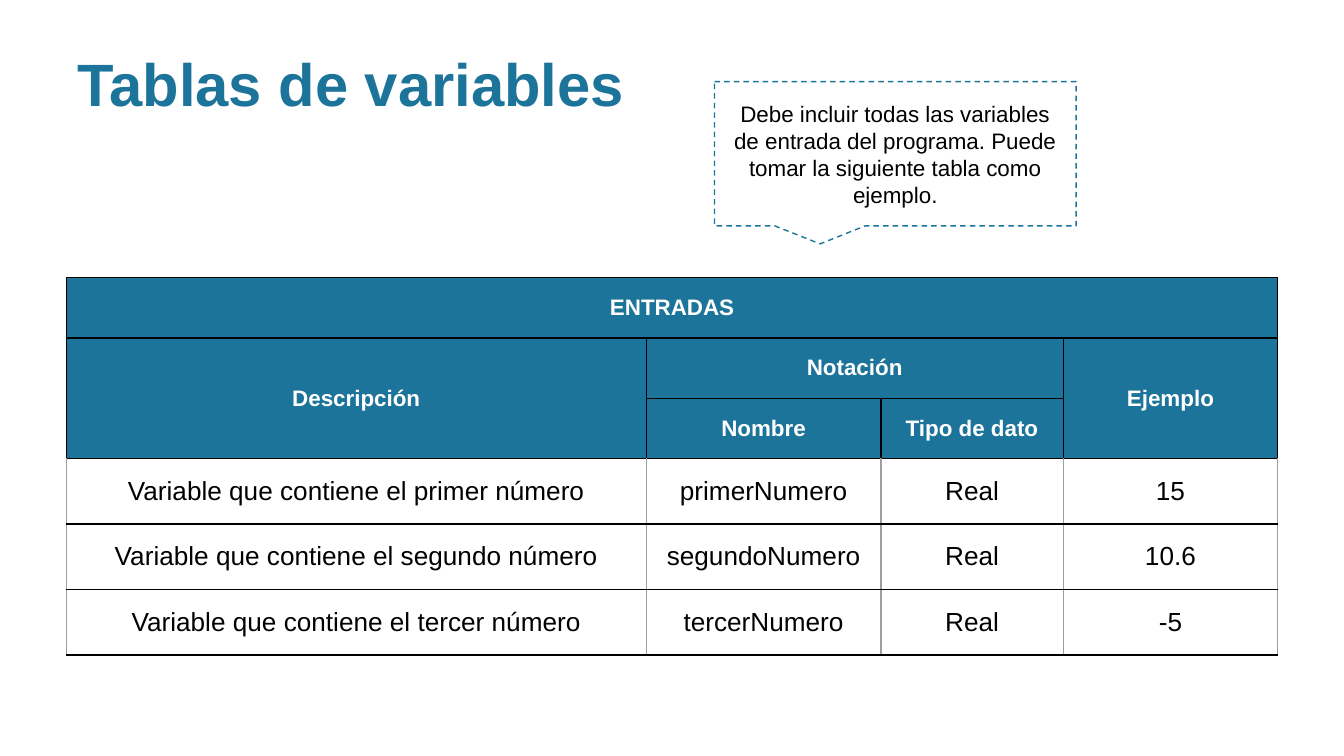
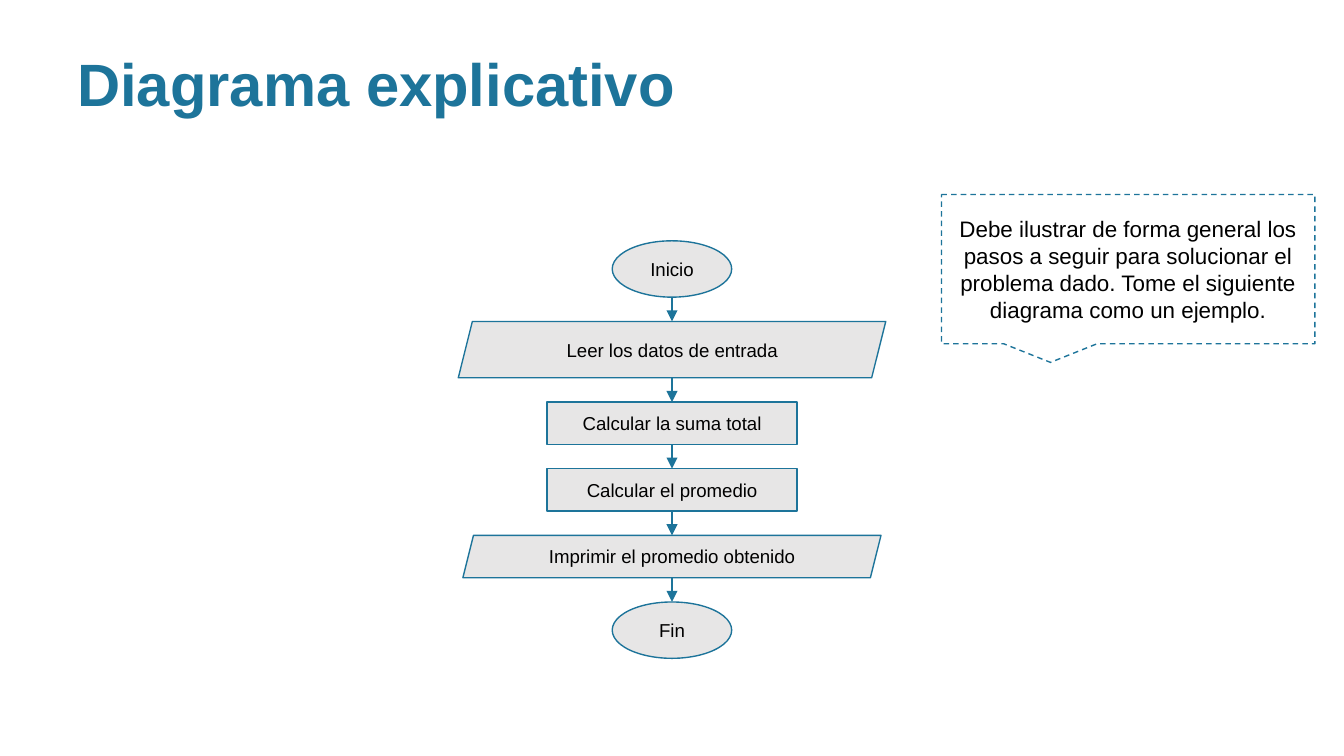
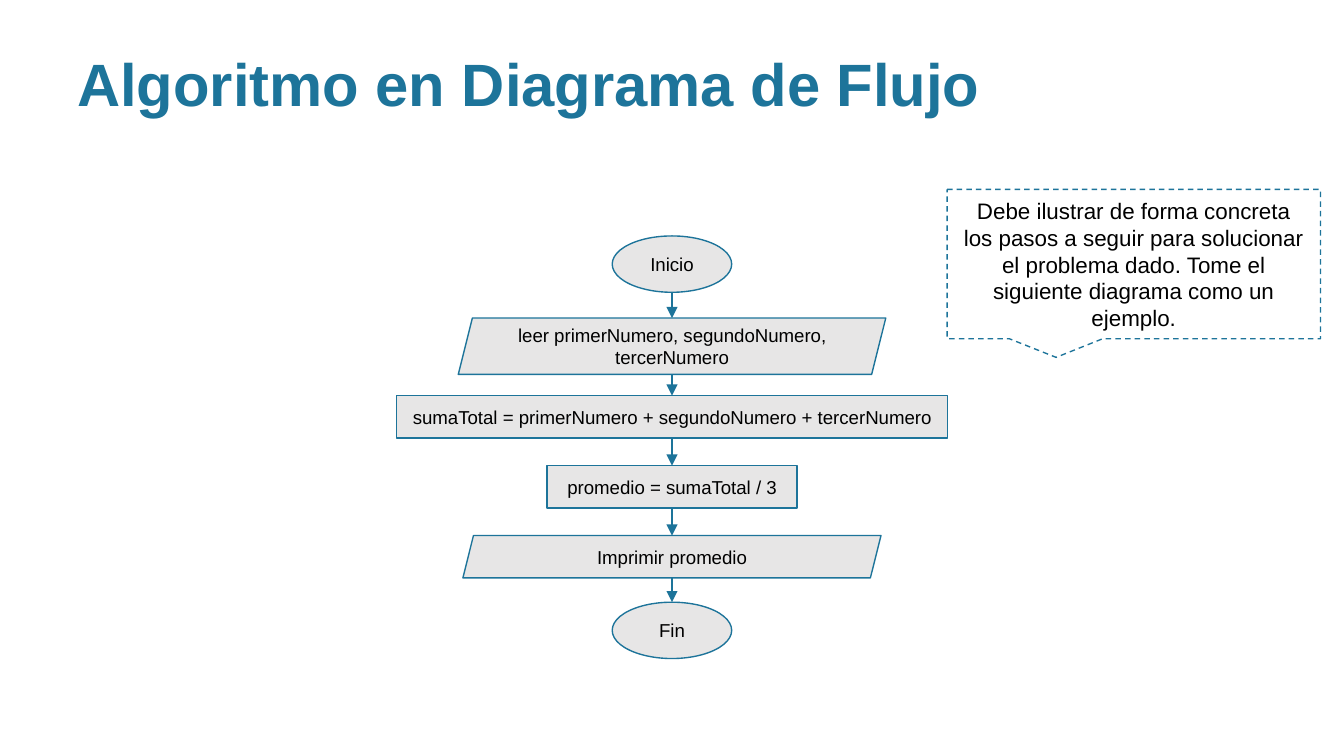
from lxml import etree
from pptx import Presentation
from pptx import util as u
from pptx.dml.color import RGBColor
from pptx.enum import dml, shapes, text
from pptx.oxml import ns

BLUE, GRAY, BORDER = "1D749A", "E7E6E6", "9E9E9E"
BLACK, WHITE = "000000", "FFFFFF"
FONT = "Arial"
INSET = 7.2
CENTER = 360
LINE = 0.75
KINDS = shapes.MSO_SHAPE


def rgb(value):
    return RGBColor.from_string(value)


def write(tf, words, size, color, bold=False, align=text.PP_ALIGN.CENTER):
    p = tf.paragraphs[0]
    p.text = words
    p.alignment = align
    p.font.name = FONT
    p.font.size = u.Pt(size)
    p.font.bold = bold
    p.font.color.rgb = rgb(color)
    return p


flow_kinds = [
    (KINDS.OVAL, 30.2),
    (KINDS.PARALLELOGRAM, 30.2),
    (KINDS.RECTANGLE, 22.7),
    (KINDS.RECTANGLE, 22.7),
    (KINDS.PARALLELOGRAM, 22.7),
    (KINDS.OVAL, 30.2),
]
general_steps = [
    ("Inicio", 64, 13),
    ("Leer los datos de entrada", 229, 13),
    ("Calcular la suma total", 134, 13),
    ("Calcular el promedio", 134, 13),
    ("Imprimir el promedio obtenido", 224, 13),
    ("Fin", 64, 0),
]
concrete_steps = [
    ("Inicio", 64, 13.8),
    ("leer primerNumero, segundoNumero, tercerNumero", 229, 11.3),
    ("sumaTotal = primerNumero + segundoNumero + tercerNumero", 295.2, 14.8),
    ("promedio = sumaTotal / 3", 134, 14.8),
    ("Imprimir promedio", 224, 13),
    ("Fin", 64, 0),
]
pages = [
    ("Tablas de variables",
     "Debe incluir todas las variables de entrada del programa. "
     "Puede tomar la siguiente tabla como ejemplo.",
     (382.8, 43.7, 193.7, 77.3), 0, []),
    ("Diagrama explicativo",
     "Debe ilustrar de forma general los pasos a seguir para solucionar "
     "el problema dado. Tome el siguiente diagrama como un ejemplo.",
     (504.4, 104.2, 200, 80), 129, general_steps),
    ("Algoritmo en Diagrama de Flujo",
     "Debe ilustrar de forma concreta los pasos a seguir para solucionar "
     "el problema dado. Tome el siguiente diagrama como un ejemplo.",
     (507.4, 101.5, 200, 80), 126.4, concrete_steps),
]

prs = Presentation()
prs.slide_width, prs.slide_height = u.Pt(720), u.Pt(405)

for title, note, note_box, top, steps in pages:
    s = prs.slides.add_slide(prs.slide_layouts[6])
    tf = s.shapes.add_textbox(u.Pt(36), u.Pt(21.6), u.Pt(533.5), u.Pt(49.7)).text_frame
    tf.word_wrap = True
    tf.vertical_anchor = text.MSO_ANCHOR.MIDDLE
    tf.margin_left = tf.margin_right = u.Pt(5.4)
    tf.margin_top = tf.margin_bottom = u.Pt(2.7)
    p = write(tf, title, 32, BLUE, True, text.PP_ALIGN.LEFT)
    p.line_spacing = 0.9

    boxes = []
    for (kind, height), (words, width, gap) in zip(flow_kinds, steps):
        boxes.append((kind, (CENTER - width / 2, top, width, height), words, 10))
        bottom = top + height
        top = bottom + gap
        if gap:
            arrow = s.shapes.add_connector(
                shapes.MSO_CONNECTOR.STRAIGHT,
                u.Pt(CENTER), u.Pt(bottom), u.Pt(CENTER), u.Pt(top))
            arrow.line.color.rgb = rgb(BLUE)
            arrow.line.width = u.Pt(LINE)
            sp_pr = arrow.element.spPr
            etree.SubElement(sp_pr.find(ns.qn("a:ln")), ns.qn("a:tailEnd"), type="triangle")
            etree.SubElement(sp_pr, ns.qn("a:effectLst"))
    boxes.append((KINDS.ROUNDED_RECTANGULAR_CALLOUT, note_box, note, 12))

    for kind, box, words, size in boxes:
        sp = s.shapes.add_shape(kind, *[u.Pt(n) for n in box])
        sp.shadow.inherit = False
        sp.line.color.rgb = rgb(BLUE)
        sp.line.width = u.Pt(LINE)
        if kind == KINDS.ROUNDED_RECTANGULAR_CALLOUT:
            sp.fill.background()
            sp.line.dash_style = dml.MSO_LINE.DASH
            for i, value in enumerate((-0.208, 0.625, 0)):
                sp.adjustments[i] = value
        else:
            sp.fill.solid()
            sp.fill.fore_color.rgb = rgb(GRAY)
        tf = sp.text_frame
        tf.word_wrap = True
        tf.vertical_anchor = text.MSO_ANCHOR.MIDDLE
        tf.margin_left = tf.margin_right = tf.margin_top = tf.margin_bottom = u.Pt(INSET)
        write(tf, words, size, BLACK)

rows = [
    ["ENTRADAS", "", "", ""],
    ["Descripción", "Notación", "", "Ejemplo"],
    ["", "Nombre", "Tipo de dato", ""],
    ["Variable que contiene el primer número", "primerNumero", "Real", "15"],
    ["Variable que contiene el segundo número", "segundoNumero", "Real", "10.6"],
    ["Variable que contiene el tercer número", "tercerNumero", "Real", "-5"],
]
col_widths = [310.6, 125.8, 97.6, 115]
header_rows = 3
row_heights = [32.3] * header_rows + [35.1] * 3
table = prs.slides[0].shapes.add_table(
    len(rows), len(col_widths), u.Pt(35.6), u.Pt(148.8),
    u.Pt(sum(col_widths)), u.Pt(sum(row_heights))).table
table.first_row = table.horz_banding = False
for column, width in zip(table.columns, col_widths):
    column.width = u.Pt(width)
for row, height in zip(table.rows, row_heights):
    row.height = u.Pt(height)

for r, row in enumerate(rows):
    header = r < header_rows
    side = BLACK if header else BORDER
    for c, words in enumerate(row):
        cell = table.cell(r, c)
        cell.vertical_anchor = text.MSO_ANCHOR.MIDDLE
        cell.margin_left = cell.margin_right = u.Pt(INSET)
        cell.margin_top = cell.margin_bottom = u.Pt(INSET)
        tc_pr = cell._tc.get_or_add_tcPr()
        for edge, color in zip("LRTB", (side, side, BLACK, BLACK)):
            ln = etree.SubElement(tc_pr, ns.qn("a:ln" + edge), w=str(u.Pt(LINE)))
            fill = etree.SubElement(ln, ns.qn("a:solidFill"))
            etree.SubElement(fill, ns.qn("a:srgbClr"), val=color)
        if header:
            cell.fill.solid()
            cell.fill.fore_color.rgb = rgb(BLUE)
        else:
            cell.fill.background()
        if words:
            write(cell.text_frame, words, 12 if header else 14,
                  WHITE if header else BLACK, header)

for first, last in [((0, 0), (0, 3)), ((1, 0), (2, 0)), ((1, 1), (1, 2)), ((1, 3), (2, 3))]:
    table.cell(*first).merge(table.cell(*last))

prs.save("out.pptx")
